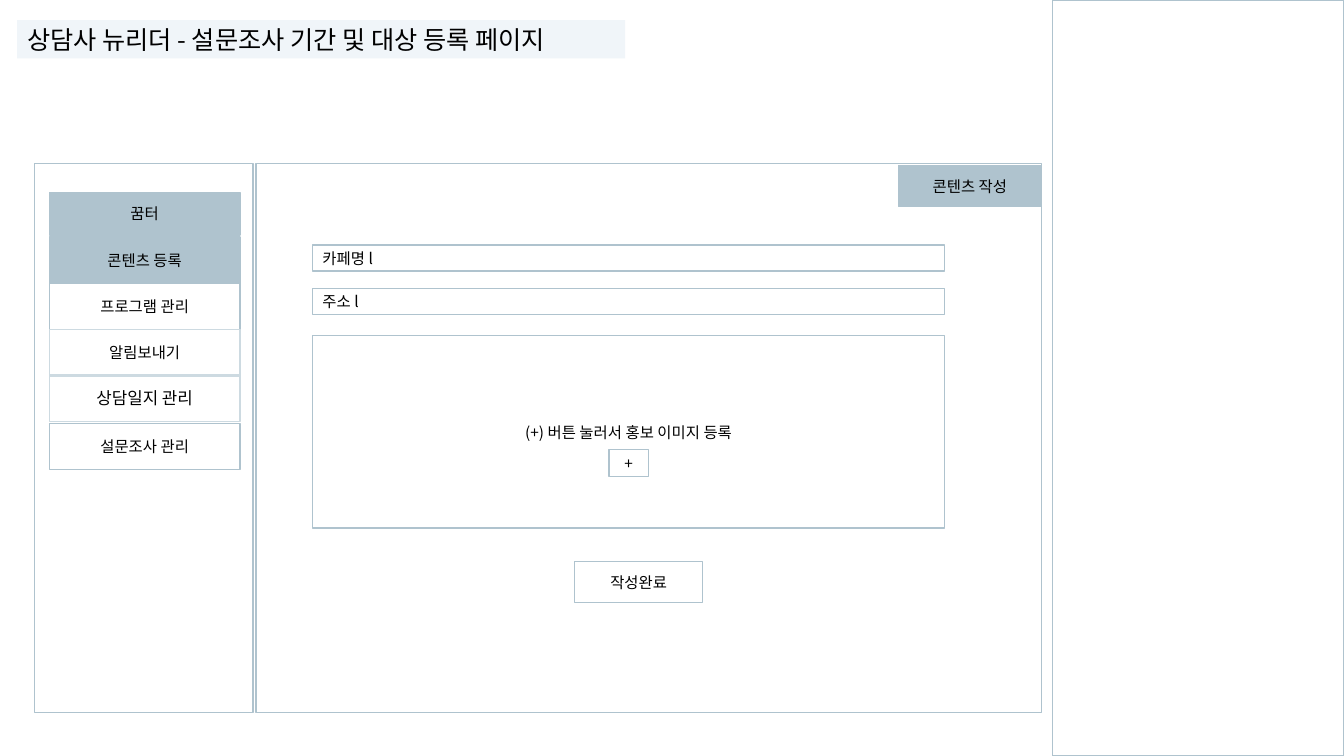
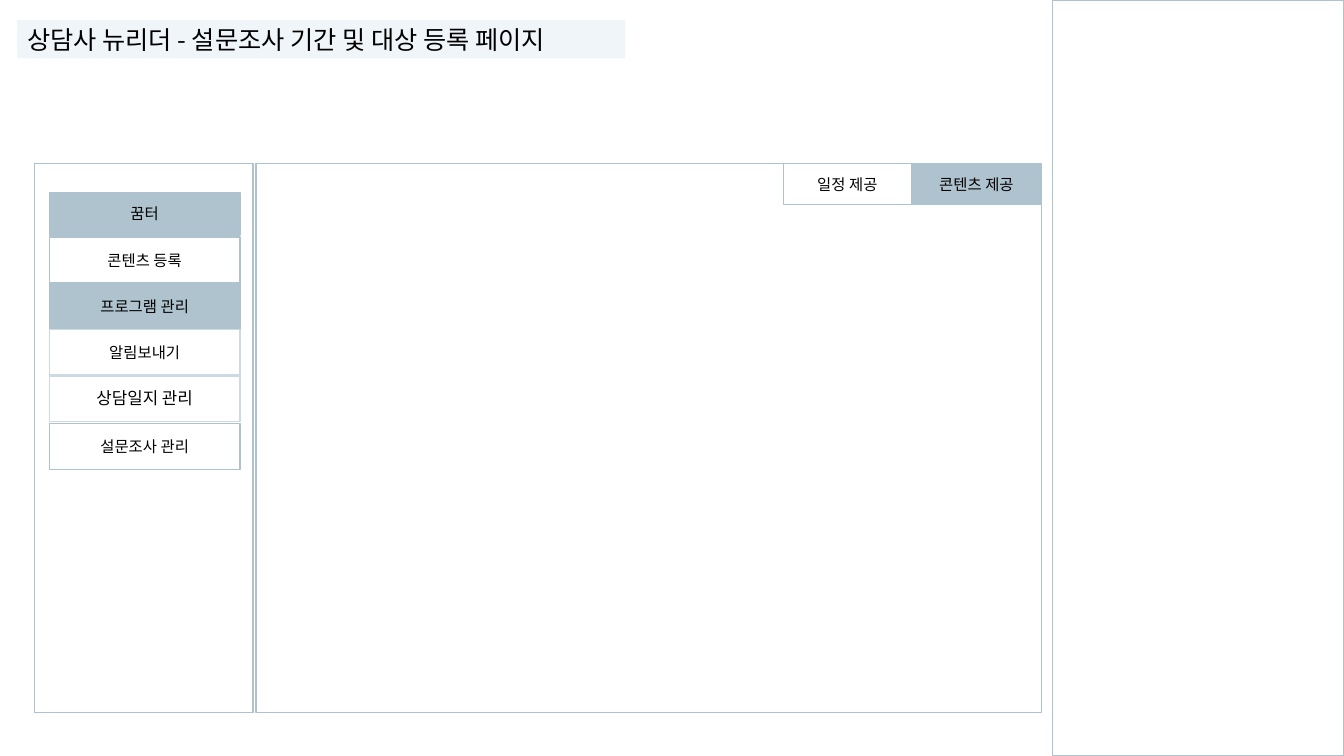
import lxml.etree
import pptx
import pptx.dml.color
import pptx.enum.shapes
import pptx.enum.text
import pptx.oxml.ns
import pptx.util

EMU_PER_PX = 9144
SLIDE_WIDTH, SLIDE_HEIGHT = 1333, 750
FONT = "Noto Sans CJK KR"
ACCENT, SOFT_LINE, TITLE_BAND, BLACK = "AFC3CE", "CDDAE1", "F0F5F9", "000000"
LEFT = pptx.enum.text.PP_ALIGN.LEFT
CENTER = pptx.enum.text.PP_ALIGN.CENTER

TITLE = "상담사 뉴리더 - 설문조사 기간 및 대상 등록 페이지"
SIDEBAR_BOX = (34, 162, 217, 545)
CONTENT_BOX = (254, 162, 779, 545)
NOTES_BOX = (1044, 0, 289, SLIDE_HEIGHT)
MENU_HEADING = "꿈터"
MENU_ITEMS = [
    ("콘텐츠 등록", 44, ACCENT, 11),
    ("프로그램 관리", 90, ACCENT, 11),
    ("알림보내기", 136, SOFT_LINE, 11),
    ("상담일지 관리", 181, SOFT_LINE, 12),
    ("설문조사 관리", 229, ACCENT, 11),
]


def px(length):
    """Convert px to EMU."""
    return pptx.util.Emu(length * EMU_PER_PX)


def color(value):
    """Convert a hex string to a colour."""
    return pptx.dml.color.RGBColor.from_string(value)


def add_box(slide, box, text="", fill=None, line=ACCENT, size=11, align=CENTER):
    """Add a rectangle with optional fill, outline and one line of text."""
    shape = slide.shapes.add_shape(
        pptx.enum.shapes.MSO_SHAPE.RECTANGLE, *map(px, box))
    shape.shadow.inherit = False
    if fill:
        shape.fill.solid()
        shape.fill.fore_color.rgb = color(fill)
    else:
        shape.fill.background()
    if line:
        shape.line.color.rgb = color(line)
        shape.line.width = pptx.util.Pt(1)
    else:
        shape.line.fill.background()
    if text:
        write_text(shape.text_frame, text, size, align)
    return shape


def write_text(frame, text, size, align):
    """Write one vertically centred paragraph into a text frame."""
    frame.word_wrap = True
    frame.vertical_anchor = pptx.enum.text.MSO_ANCHOR.MIDDLE
    paragraph = frame.paragraphs[0]
    paragraph.alignment = align
    run = paragraph.add_run()
    run.text = text
    formats = {"size": pptx.util.Pt(size), "name": FONT}
    for name, value in formats.items():
        setattr(run.font, name, value)
    run.font.color.rgb = color(BLACK)
    properties = run._r.get_or_add_rPr()
    lxml.etree.SubElement(
        properties, pptx.oxml.ns.qn("a:ea"), {"typeface": FONT})


def add_title(slide, box):
    """Add the page title band."""
    add_box(slide, box, TITLE, fill=TITLE_BAND, line=None, size=18, align=LEFT)


def add_sidebar(slide, box, selected):
    """Add the menu panel with the selected item filled."""
    add_box(slide, box)
    left, top, width = box[0] + 15, box[1] + 29, 189
    add_box(slide, (left, top, width, 42), MENU_HEADING, fill=ACCENT)
    for label, offset, line, size in MENU_ITEMS:
        fill = ACCENT if label == selected else None
        add_box(slide, (left, top + offset, width, 46), label, fill, line, size)


def add_content_form(slide, box):
    """Add the content registration form."""
    left, top, width, height = box
    tab_width = 142
    add_box(slide, (left + width - tab_width, top + 2, tab_width, 41),
            "콘텐츠 작성", fill=ACCENT)
    field_left, field_width = left + 56, 627
    for index, label in enumerate(["카페명 l", "주소 l"]):
        add_box(slide, (field_left, top + 81 + 43 * index, field_width, 26),
                label, align=LEFT)
    add_box(slide, (field_left, top + 171, field_width, 191),
            "(+) 버튼 눌러서 홍보 이미지 등록")
    add_box(slide, (left + 350, top + 284, 39, 27), "+")
    add_box(slide, (left + 316, top + 395, 127, 41), "작성완료")


def add_program_tabs(slide, box):
    """Add the program tabs from right to left, the first one selected."""
    left, top, width, height = box
    tab_width, pitch = 127, 128
    tabs = [("콘텐츠 제공", ACCENT), ("일정 제공", None)]
    for index, (label, fill) in enumerate(tabs):
        tab_left = left + width - 1 - tab_width - pitch * index
        add_box(slide, (tab_left, top, tab_width, 41), label, fill)


def add_page(presentation, selected, add_content):
    """Add one admin page with its shared frame and own content."""
    slide = presentation.slides.add_slide(presentation.slide_layouts[6])
    add_box(slide, NOTES_BOX)
    add_box(slide, CONTENT_BOX)
    add_title(slide, (17, 20, 603, 38))
    add_content(slide, CONTENT_BOX)
    add_sidebar(slide, SIDEBAR_BOX, selected)


def main():
    """Build and save the presentation."""
    presentation = pptx.Presentation()
    presentation.slide_width = px(SLIDE_WIDTH)
    presentation.slide_height = px(SLIDE_HEIGHT)
    add_page(presentation, "콘텐츠 등록", add_content_form)
    add_page(presentation, "프로그램 관리", add_program_tabs)
    presentation.save("out.pptx")


if __name__ == "__main__":
    main()
